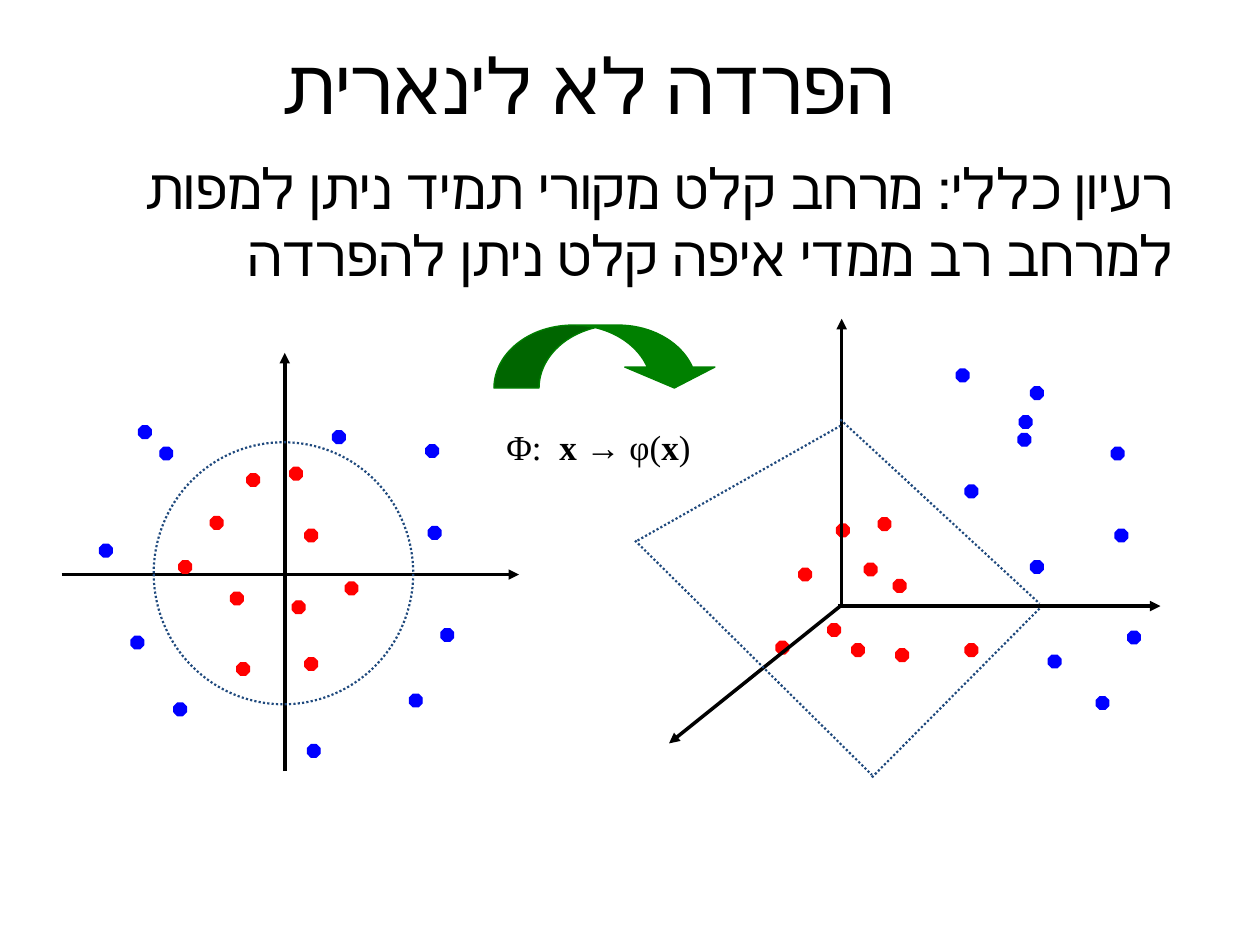
from pptx import Presentation
from pptx.dml.color import RGBColor
from pptx.enum.dml import MSO_LINE as Dash
from pptx.enum.shapes import MSO_CONNECTOR as Link, MSO_SHAPE as Shape
from pptx.enum.text import MSO_ANCHOR as Anchor, PP_ALIGN as Align
from pptx.oxml.ns import qn
from pptx.util import Inches, Pt
from lxml.etree import SubElement

# Grid of 100 columns by 75 rows; boxes are (column, row, width, height)
CELL = Inches(0.1)
BLACK, RED, BLUE, GREEN, NAVY = "000000", "FF0000", "0000FF", "008000", "1F497D"


def cells(*nums):
    return [round(n * CELL) for n in nums]


def paint(target, color):
    target.rgb = RGBColor.from_string(color)


def stroke(line, color, width, dash=None):
    paint(line.color, color)
    line.width = Pt(width)
    if dash:
        line.dash_style = dash


def add_form(slide, kind, box, color, width, filled=True, dash=None):
    form = slide.shapes.add_shape(kind, *cells(*box))
    form.shadow.inherit = False
    if filled:
        form.fill.solid()
        paint(form.fill.fore_color, color)
    else:
        form.fill.background()
    stroke(form.line, color, width, dash)
    return form


def add_line(slide, box, ends, color, width, dash=None, arrow=False):
    col, row = box[:2]
    x1, y1, x2, y2 = ends
    points = cells(col + x1, row + y1, col + x2, row + y2)
    line = slide.shapes.add_connector(Link.STRAIGHT, *points)
    stroke(line.line, color, width, dash)
    props = line._element.spPr
    if arrow:
        SubElement(props.find(qn("a:ln")), qn("a:tailEnd"), type="triangle")
    SubElement(props, qn("a:effectLst"))


def add_text(slide, box, runs, font, size, align=Align.LEFT, anchor=Anchor.TOP):
    frame = slide.shapes.add_textbox(*cells(*box)).text_frame
    frame.word_wrap = True
    frame.vertical_anchor = anchor
    para = frame.paragraphs[0]
    para.alignment = align
    for words, bold in runs:
        run = para.add_run()
        run.text = words
        run.font.name, run.font.size, run.font.bold = font, Pt(size), bold
        paint(run.font.color, BLACK)
    return para


def add_dots(slide, box, dots, color):
    for x, y in dots:
        add_form(slide, Shape.OCTAGON, (box[0] + x, box[1] + y, 1, 1), color, 0.75)


def add_axes(slide, box, axes):
    for ends in axes:
        add_line(slide, box, ends, BLACK, 2, arrow=True)


def input_space(slide, box):
    col, row, wide, high = box
    # Axes
    add_axes(slide, box, [(17.7, high, 17.7, 0), (0, 17.6, wide, 17.6)])
    # Two classes of points
    add_dots(slide, box, [
        (18.1, 9.1), (11.8, 13), (13.4, 19), (19.3, 24.2), (14.7, 9.6),
        (9.3, 16.5), (13.9, 24.6), (19.3, 14), (22.5, 18.2), (18.3, 19.7)], RED)
    add_dots(slide, box, [
        (29.1, 13.8), (27.6, 27.1), (3, 15.2), (19.5, 31.1), (30.1, 21.9),
        (8.9, 27.8), (5.5, 22.5), (6.1, 5.8), (21.5, 6.2), (7.8, 7.5),
        (28.9, 7.3)], BLUE)
    # Round border between the classes
    add_form(slide, Shape.OVAL, (col + 7.3, row + 7.1, 20.6, 20.8),
             NAVY, 1.25, filled=False, dash=Dash.ROUND_DOT)


def feature_space(slide, box):
    # Two classes of points
    add_dots(slide, box, [
        (19.7, 16.1), (13.4, 20.1), (17.6, 26.1), (26.6, 26.1), (16.4, 16.6),
        (18.6, 19.7), (21.1, 26.5), (20.9, 21), (15.7, 24.5), (11.6, 25.9)], RED)
    add_dots(slide, box, [
        (38.5, 17), (37, 30.3), (31.8, 5.7), (31.8, 19.5), (39.5, 25.1),
        (26.6, 13.5), (33.2, 27), (30.9, 8), (30.8, 9.4), (25.9, 4.3),
        (38.2, 10.5)], BLUE)
    # Axes
    add_axes(slide, box, [(16.8, 22.9, 16.8, 0.3), (16.5, 23.1, 42.1, 23.1),
                          (16.7, 23.1, 3.1, 34)])
    # Edges of the dividing plane
    for ends in [(16.7, 8.3, 32.5, 22.9), (19.2, 36.7, 32.5, 23.3),
                 (0.6, 17.9, 16.7, 8.8), (0.4, 17.9, 19.2, 36.5)]:
        add_line(slide, box, ends, NAVY, 1.25, Dash.ROUND_DOT)


def mapping(slide, box):
    col, row, wide, high = box
    # Arrow from one space to the other
    arrow = add_form(slide, Shape.CURVED_DOWN_ARROW, (col, row, 17.9, 5), GREEN, 0.75)
    for i, share in enumerate((0.717, 1.433, 0.333)):
        arrow.adjustments[i] = share
    # Formula
    runs = [("Φ:  ", False), ("x → ", True), ("φ(", False), ("x", True), (")", False)]
    add_text(slide, (col, row + 7.5, wide, high - 7.5), runs, "Times New Roman", 20)


def heading(slide, box):
    col, row, wide, high = box
    add_text(slide, (col, row, wide - 5, 8.3), [("הפרדה לא לינארית", None)],
             "Calibri", 44, Align.CENTER, Anchor.MIDDLE)
    idea = "רעיון כללי: מרחב קלט מקורי תמיד ניתן למפות למרחב רב ממדי איפה קלט ניתן להפרדה"
    para = add_text(slide, (col, row + 9.2, wide, high - 9.2), [(idea, None)],
                    "Arial", 32, Align.RIGHT)
    para._p.get_or_add_pPr().set("rtl", "1")


def main():
    deck = Presentation()
    deck.slide_width, deck.slide_height = cells(100, 75)
    slide = deck.slides.add_slide(deck.slide_layouts[6])
    heading(slide, (4.2, 2.5, 90, 64.2))
    input_space(slide, (4.9, 28, 36.3, 33.2))
    feature_space(slide, (50, 25, 42, 37))
    mapping(slide, (39.2, 25.8, 20.8, 11.8))
    deck.save("out.pptx")


if __name__ == "__main__":
    main()
